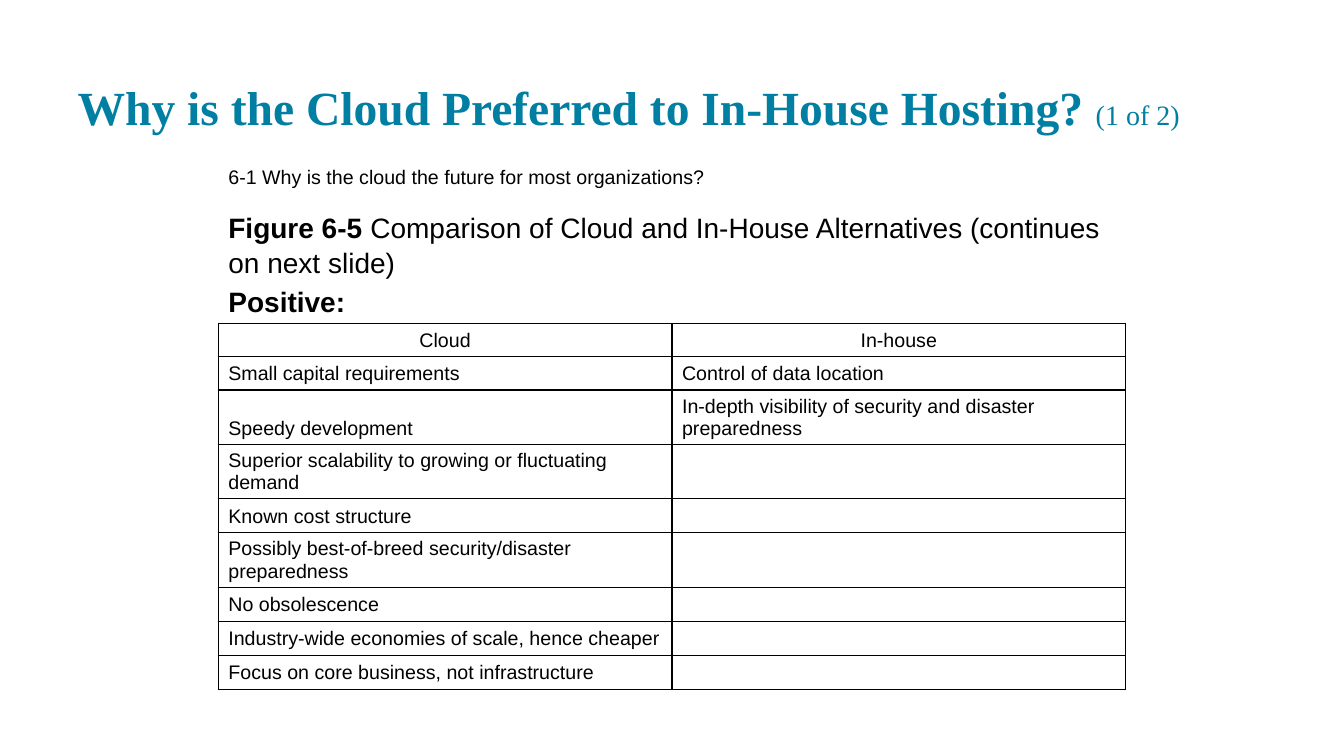
"""Builds the slide comparing the positives of cloud and in-house hosting."""
from lxml import etree
from pptx import Presentation, util as u
from pptx.dml.color import RGBColor
from pptx.enum import text as t
from pptx.oxml.ns import qn

TEAL = RGBColor(0x00, 0x7F, 0xA3)
BLACK = RGBColor(0, 0, 0)
WHITE = RGBColor(255, 255, 255)

HEAD = [[("Why is the Cloud Preferred to In-House Hosting? ", 34, True),
         ("(1 of 2)", 20, False)]]
INTRO = [
    [("6-1 Why is the cloud the future for most organizations?", 14, False)],
    [("Figure 6-5 ", 20, True),
     ("Comparison of Cloud and In-House Alternatives (continues on next slide)", 20, False)],
]
LABEL = [[("Positive:", 20, True)]]
ROWS = [
    ("Cloud", "In-house"),
    ("Small capital requirements", "Control of data location"),
    ("Speedy development", "In-depth visibility of security and disaster preparedness"),
    ("Superior scalability to growing or fluctuating demand", ""),
    ("Known cost structure", ""),
    ("Possibly best-of-breed security/disaster preparedness", ""),
    ("No obsolescence", ""),
    ("Industry-wide economies of scale, hence cheaper", ""),
    ("Focus on core business, not infrastructure", ""),
]
WIDE, HIGH = 13.33, 7.5
COL, WRAP = 4.5, 48
LEFT = (WIDE - 2 * COL) / 2
ONE, TWO = 0.33, 0.54


def style(run, size, bold, face, color):
    """Format one run."""
    font = run.font
    font.size, font.bold, font.name = u.Pt(size), bold, face
    font.color.rgb = color


def write(shape, box, paras, face, color, anchor, lead):
    """Place a placeholder and fill it with unbulleted paragraphs."""
    shape.left, shape.top, shape.width, shape.height = map(u.Inches, box)
    frame = shape.text_frame
    frame.word_wrap = True
    frame.auto_size = t.MSO_AUTO_SIZE.NONE
    frame.vertical_anchor = anchor
    frame.margin_left = frame.margin_right = u.Inches(0.1)
    frame.margin_top = frame.margin_bottom = u.Inches(0.1)
    for i, parts in enumerate(paras):
        para = frame.add_paragraph() if i else frame.paragraphs[0]
        props = para._p.get_or_add_pPr()
        props.set("marL", "0")
        props.set("indent", "0")
        etree.SubElement(props, qn("a:buNone"))
        para.alignment = t.PP_ALIGN.LEFT
        para.line_spacing = lead
        para.space_before = u.Pt(15 if i else 0)
        for words, size, bold in parts:
            run = para.add_run()
            run.text = words
            style(run, size, bold, face, color)


def border(cell):
    """Draw a thin black line on each side of a cell."""
    props = cell._tc.get_or_add_tcPr()
    for side in "LRTB":
        line = etree.SubElement(props, qn("a:ln" + side), w=str(u.Pt(1)))
        fill = etree.SubElement(line, qn("a:solidFill"))
        etree.SubElement(fill, qn("a:srgbClr"), val=str(BLACK))


def grid(slide):
    """Add the comparison table."""
    highs = [TWO if max(map(len, row)) > WRAP else ONE for row in ROWS]
    box = map(u.Inches, (LEFT, 3.21, 2 * COL, sum(highs)))
    table = slide.shapes.add_table(len(ROWS), 2, *box).table
    for r, row in enumerate(ROWS):
        table.rows[r].height = u.Inches(highs[r])
        for c, words in enumerate(row):
            cell = table.cell(r, c)
            border(cell)
            cell.fill.solid()
            cell.fill.fore_color.rgb = WHITE
            cell.vertical_anchor = t.MSO_ANCHOR.BOTTOM
            cell.text = words
            para = cell.text_frame.paragraphs[0]
            para.alignment = t.PP_ALIGN.LEFT if r else t.PP_ALIGN.CENTER
            for run in para.runs:
                style(run, 14, False, "Arial", BLACK)
            if not words:
                etree.SubElement(para._p, qn("a:endParaRPr"), sz="1400")


def main():
    """Build and save the slide."""
    deck = Presentation()
    deck.slide_width, deck.slide_height = u.Inches(WIDE), u.Inches(HIGH)
    slide = deck.slides.add_slide(deck.slide_layouts[3])
    title, intro, label = slide.placeholders
    top = t.MSO_ANCHOR.TOP
    write(title, (0.67, 0.24, 12, 1.2), HEAD, "Times New Roman", TEAL,
          t.MSO_ANCHOR.BOTTOM, 1.0)
    write(intro, (LEFT, 1.52, 2 * COL, 0.96), INTRO, "Arial", BLACK, top, 1.05)
    write(label, (LEFT, 2.71, 2 * COL, 0.42), LABEL, "Arial", BLACK, top, 1.05)
    grid(slide)
    deck.save("out.pptx")


if __name__ == "__main__":
    main()
